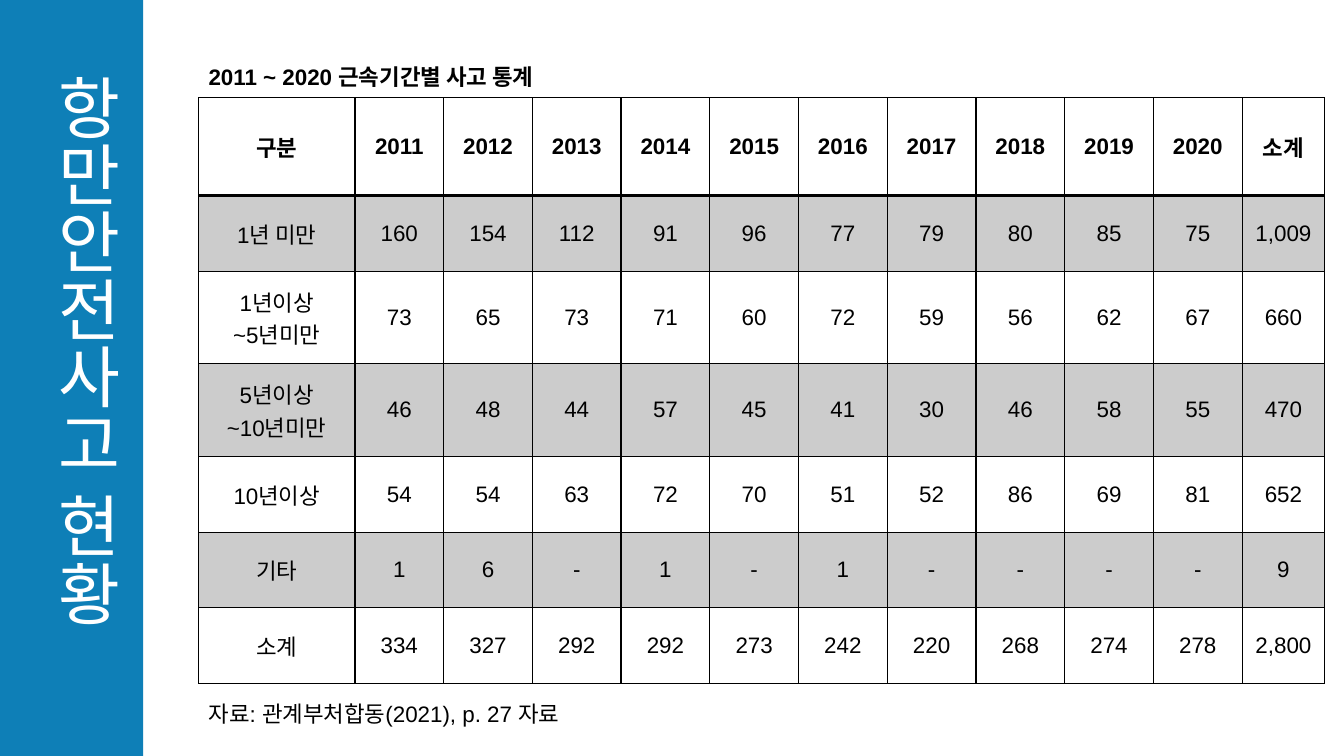
from dataclasses import dataclass

from lxml.etree import SubElement as Sub
from pptx import Presentation
from pptx.dml.color import RGBColor as RGB
from pptx.enum.shapes import MSO_SHAPE as Shape
from pptx.enum.text import MSO_ANCHOR as Anchor, MSO_AUTO_SIZE as Fit, PP_ALIGN as Align
from pptx.oxml import parse_xml
from pptx.oxml.ns import nsdecls, qn
from pptx.util import Inches, Pt


@dataclass(frozen=True)
class Theme:
    font: str = "Arial"
    blue: str = "0E7FB7"
    white: str = "FFFFFF"
    black: str = "000000"
    shade: int = 20
    title: int = 48
    body: int = 16
    thin: int = 1
    thick: int = 2


THEME = Theme()
LEFT = 1.97
WIDTHS = [1.55] + [0.88] * 10 + [0.82]
HEIGHTS = [0.97, 0.75, 0.92, 0.92, 0.75, 0.75, 0.75]
ROWS = [
    ["구분", *map(str, range(2011, 2021)), "소계"],
    ["1년 미만", *"160 154 112 91 96 77 79 80 85 75 1,009".split()],
    ["1년이상\n~5년미만", *"73 65 73 71 60 72 59 56 62 67 660".split()],
    ["5년이상\n~10년미만", *"46 48 44 57 45 41 30 46 58 55 470".split()],
    ["10년이상", *"54 54 63 72 70 51 52 86 69 81 652".split()],
    ["기타", *"1 6 - 1 - 1 - - - - 9".split()],
    ["소계", *"334 327 292 292 273 242 220 268 274 278 2,800".split()],
]


def add_run(para, text, size, color, bold=False):
    run = para.add_run()
    run.text = text
    font = run.font
    font.name = THEME.font
    font.size = Pt(size)
    font.bold = bold
    font.color.rgb = RGB.from_string(color)


def add_bar(slide, height):
    bar = slide.shapes.add_shape(Shape.RECTANGLE, 0, 0, Inches(1.42), height)
    bar.shadow.inherit = False
    bar.fill.solid()
    bar.fill.fore_color.rgb = RGB.from_string(THEME.blue)
    bar.line.fill.background()


def add_label(slide, text, place, size=THEME.body, color=THEME.black, bold=False):
    box = slide.shapes.add_textbox(*map(Inches, place))
    frame = box.text_frame
    frame.word_wrap = True
    frame.auto_size = Fit.SHAPE_TO_FIT_TEXT
    add_run(frame.paragraphs[0], text, size, color, bold)
    return box


def set_edges(cell, top, bottom):
    props = cell._tc.get_or_add_tcPr()
    sides = {"L": THEME.thin, "R": THEME.thin, "T": top, "B": bottom}
    for spot, (side, width) in enumerate(sides.items()):
        props.insert(spot, parse_xml(
            f'<a:ln{side} {nsdecls("a")} w="{Pt(width)}"><a:solidFill>'
            f'<a:srgbClr val="{THEME.black}"/></a:solidFill></a:ln{side}>'))


def fill_cell(cell, shaded):
    if not shaded:
        cell.fill.background()
        return
    cell.fill.solid()
    cell.fill.fore_color.rgb = RGB.from_string(THEME.black)
    color = cell._tc.tcPr.find(".//" + qn("a:srgbClr"))
    Sub(color, qn("a:alpha"), val=str(THEME.shade * 1000))


def write_cell(cell, text, bold):
    cell.vertical_anchor = Anchor.MIDDLE
    frame = cell.text_frame
    for num, line in enumerate(text.split("\n")):
        para = frame.add_paragraph() if num else frame.paragraphs[0]
        para.alignment = Align.CENTER
        add_run(para, line, THEME.body, THEME.black, bold)


def add_grid(slide):
    size = Inches(sum(WIDTHS)), Inches(sum(HEIGHTS))
    table = slide.shapes.add_table(
        len(ROWS), len(WIDTHS), Inches(LEFT), Inches(0.97), *size).table
    table.first_row = False
    table.horz_banding = False
    for col, width in zip(table.columns, WIDTHS):
        col.width = Inches(width)
    for row, height in zip(table.rows, HEIGHTS):
        row.height = Inches(height)
    for r, row in enumerate(ROWS):
        top = THEME.thick if r == 1 else THEME.thin
        bottom = THEME.thick if r == 0 else THEME.thin
        for c, text in enumerate(row):
            cell = table.cell(r, c)
            write_cell(cell, text, r == 0)
            fill_cell(cell, r % 2 == 1)
            set_edges(cell, top, bottom)


def main():
    deck = Presentation()
    deck.slide_width = Inches(13.33)
    deck.slide_height = Inches(7.5)
    slide = deck.slides.add_slide(deck.slide_layouts[6])
    add_bar(slide, deck.slide_height)
    title = add_label(slide, "항만안전사고 현황", (0.3, 0.64, 1.01, 6.23),
                      THEME.title, THEME.white)
    title.element.txBody.bodyPr.set("vert", "eaVert")
    add_grid(slide)
    add_label(slide, "2011 ~ 2020 근속기간별 사고 통계", (LEFT, 0.58, 6.18, 0.37), bold=True)
    add_label(slide, "자료: 관계부처합동(2021), p. 27 자료", (LEFT, 6.9, 3.9, 0.37))
    deck.save("out.pptx")


if __name__ == "__main__":
    main()
